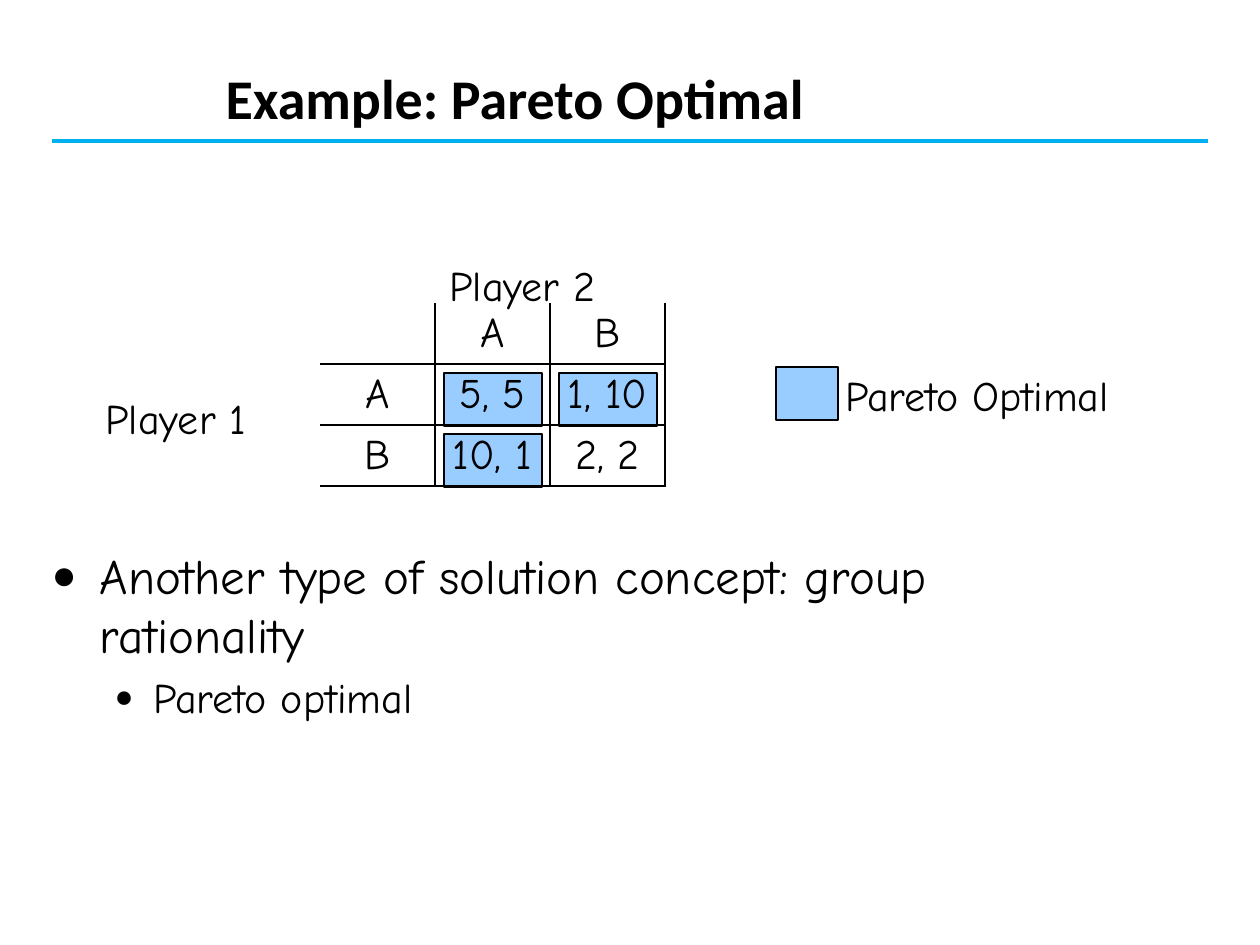
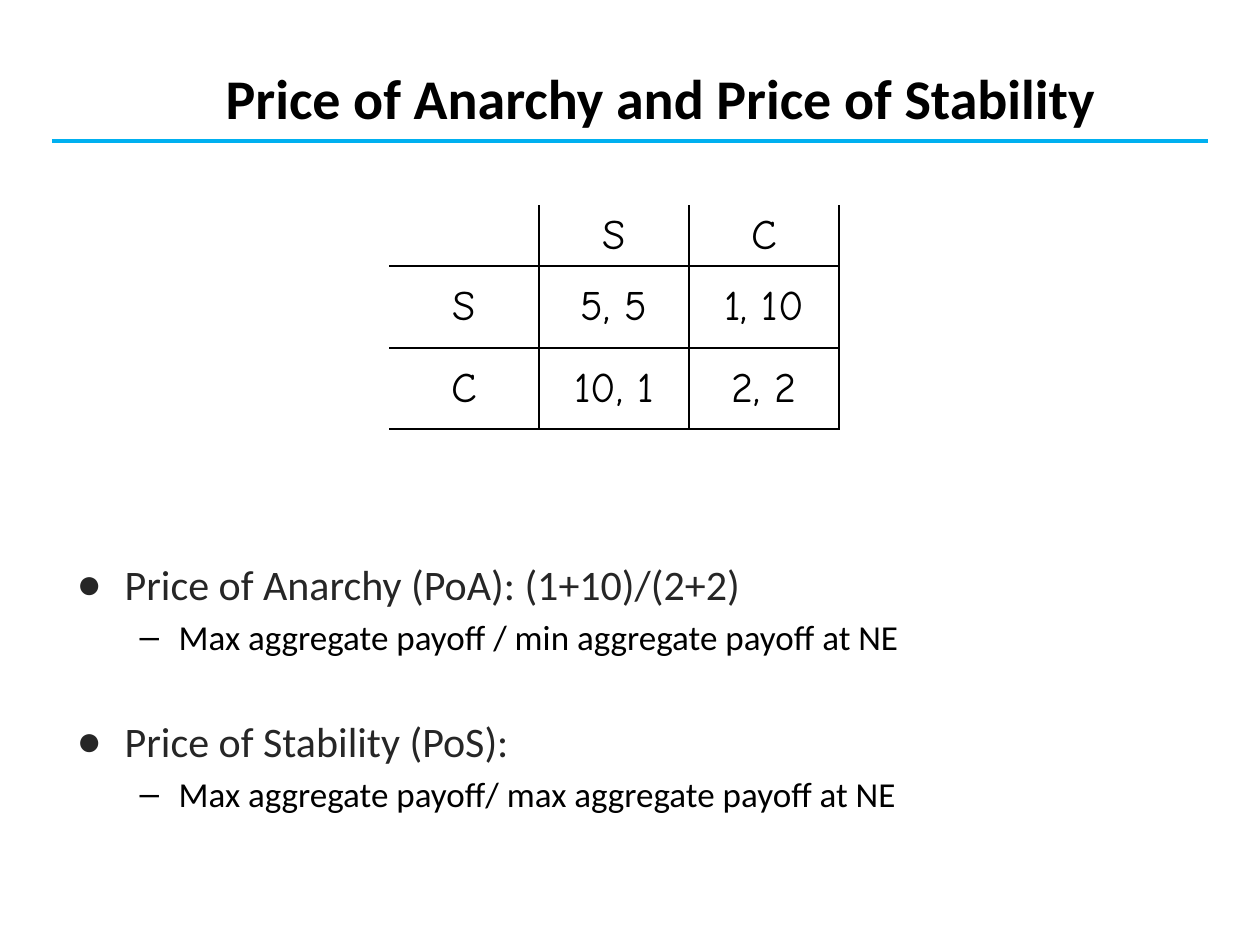
"""Build two slides on Pareto optimality and the prices of anarchy and stability."""
from dataclasses import dataclass

from lxml.etree import SubElement
from pptx import Presentation
from pptx.dml.color import RGBColor
from pptx.enum.shapes import MSO_CONNECTOR as Connector, MSO_SHAPE as Shape
from pptx.enum.text import MSO_ANCHOR as Anchor, MSO_AUTO_SIZE as AutoSize, PP_ALIGN as Align
from pptx.oxml import parse_xml
from pptx.oxml.ns import nsdecls, qn
from pptx.util import Emu, Pt


@dataclass(frozen=True)
class Theme:
    """Colours, fonts and type sizes."""
    black: str = "000000"
    grey: str = "262626"
    rule: str = "00B0F0"
    highlight: str = "99CCFF"
    plain: str = "Calibri"
    comic: str = "Comic Neue"
    title: int = 32
    large: int = 28
    medium: int = 24
    small: int = 20


THEME = Theme()
PX_PER_INCH = 126
SLIDE_SIZE = (1260, 945)
TITLE_BOX = (213, 55, 983, 74)
RULE_ENDS = (52, 141, 1208, 141)
HIGHLIGHT_SIZE = (98, 53)
HIGHLIGHT_INSET = 9
INDENTS = ((48, -48), (102, -39))

PARETO = {
    "title": "Example: Pareto Optimal",
    "body_box": (39, 539, 1115, 205),
    "bullets": [
        (0, "●", 85, 0, "Another type of solution concept: group rationality",
         dict(font=THEME.comic, size=THEME.large)),
        (1, "●", 75, 5, "Pareto optimal", dict(font=THEME.comic)),
    ],
    "payoffs": [["", "A", "B"], ["A", "5, 5", "1, 10"], ["B", "10, 1", "2, 2"]],
    "table_corner": (320, 303),
    "column_width": 115,
    "row_heights": (61, 61, 61),
    "optimal_cells": [(1, 1), (1, 2), (2, 1)],
    "labels": [
        ("Player 1", (93, 386, 258, 63)),
        ("Player 2", (437, 253, 185, 63)),
        ("Pareto Optimal", (833, 363, 319, 63)),
    ],
    "legend_box": (776, 367, 62, 53),
}
PRICES = {
    "title": "Price of Anarchy and Price of Stability",
    "body_box": (64, 552, 1128, 333),
    "bullets": [
        (0, "●", 100, 0, "Price of Anarchy (PoA): (1+10)/(2+2)", dict(color=THEME.grey)),
        (1, "–", 100, 4, "Max aggregate payoff / min aggregate payoff at NE",
         dict(size=THEME.small)),
        (0, "●", 100, 33, "Price of Stability (PoS):", dict(color=THEME.grey)),
        (1, "–", 100, 4, "Max aggregate payoff/ max aggregate payoff at NE",
         dict(size=THEME.small)),
    ],
    "payoffs": [["", "S", "C"], ["S", "5, 5", "1, 10"], ["C", "10, 1", "2, 2"]],
    "table_corner": (389, 205),
    "column_width": 150,
    "row_heights": (60, 82, 81),
}


def px(length):
    """Turn pixels into EMU."""
    return Emu(round(length * 914400 / PX_PER_INCH))


def place(shape, box):
    """Move and size a shape."""
    shape.left, shape.top, shape.width, shape.height = map(px, box)


def write(paragraph, text, font=THEME.plain, size=THEME.medium, color=THEME.black,
          bold=False, align=Align.LEFT, before=0):
    """Write one formatted run into a paragraph."""
    paragraph.alignment = align
    paragraph.space_before = Pt(before)
    run = paragraph.add_run()
    run.text = text
    run.font.name, run.font.size, run.font.bold = font, Pt(size), bold
    run.font.color.rgb = RGBColor.from_string(color)


def prepare_layout(presentation):
    """Set the shared title place and rule on the content layout."""
    layout = presentation.slide_layouts[1]
    place(layout.placeholders[0], TITLE_BOX)
    return layout


def add_rule(slide, layout):
    """Draw the title rule and hand it to the layout."""
    rule = slide.shapes.add_connector(Connector.STRAIGHT, *map(px, RULE_ENDS))
    rule.line.color.rgb = RGBColor.from_string(THEME.rule)
    rule.line.width = Pt(2.25)
    SubElement(rule._element.spPr, qn("a:effectLst"))
    layout.shapes._spTree.append(rule._element)


def fill_title(slide, text):
    """Write the slide title."""
    frame = slide.shapes.title.text_frame
    frame.auto_size, frame.vertical_anchor = AutoSize.NONE, Anchor.TOP
    frame.margin_top = px(9)
    write(frame.paragraphs[0], text, size=THEME.title, bold=True)


def fill_body(slide, content):
    """Write the bulleted list."""
    body = slide.placeholders[1]
    place(body, content["body_box"])
    frame = body.text_frame
    frame.auto_size = AutoSize.NONE
    for index, (level, mark, percent, before, text, style) in enumerate(content["bullets"]):
        paragraph = frame.add_paragraph() if index else frame.paragraphs[0]
        paragraph.level = level
        write(paragraph, text, before=before, **style)
        properties = paragraph._p.get_or_add_pPr()
        margin, indent = INDENTS[level]
        properties.set("marL", str(px(margin)))
        properties.set("indent", str(px(indent)))
        SubElement(properties, qn("a:buSzPct")).set("val", str(percent * 1000))
        SubElement(properties, qn("a:buChar")).set("char", mark)


def set_borders(cell, row, column):
    """Rule all sides of a cell except the outer top and left."""
    sides = (("lnL", column > 0), ("lnR", True), ("lnT", row > 0), ("lnB", True))
    for index, (side, shown) in enumerate(sides):
        paint = f'<a:solidFill><a:srgbClr val="{THEME.black}"/></a:solidFill>' if shown else "<a:noFill/>"
        border = parse_xml(f'<a:{side} {nsdecls("a")} w="{Pt(1)}">{paint}</a:{side}>')
        cell._tc.get_or_add_tcPr().insert(index, border)


def add_payoffs(slide, content):
    """Add the payoff table."""
    rows, heights, width = content["payoffs"], content["row_heights"], content["column_width"]
    size = (width * len(rows[0]), sum(heights))
    table = slide.shapes.add_table(len(rows), len(rows[0]),
                                   *map(px, content["table_corner"] + size)).table
    table.first_row = table.horz_banding = False
    for column in table.columns:
        column.width = px(width)
    for row, texts in enumerate(rows):
        table.rows[row].height = px(heights[row])
        for column, text in enumerate(texts):
            cell = table.cell(row, column)
            cell.fill.background()
            cell.vertical_anchor = Anchor.MIDDLE
            set_borders(cell, row, column)
            if text:
                write(cell.text_frame.paragraphs[0], text, font=THEME.comic, align=Align.CENTER)


def add_highlight(slide, box):
    """Add a box in the Pareto optimal colour."""
    shape = slide.shapes.add_shape(Shape.RECTANGLE, *map(px, box))
    shape.shadow.inherit = False
    shape.fill.solid()
    shape.fill.fore_color.rgb = RGBColor.from_string(THEME.highlight)
    shape.line.color.rgb = RGBColor.from_string(THEME.black)
    shape.line.width = Pt(0.75)


def add_optimal_cells(slide, content):
    """Mark the Pareto optimal cells behind the table."""
    left, top = content["table_corner"]
    for row, column in content["optimal_cells"]:
        corner = (left + column * content["column_width"] + HIGHLIGHT_INSET,
                  top + sum(content["row_heights"][:row]) + HIGHLIGHT_INSET)
        add_highlight(slide, corner + HIGHLIGHT_SIZE)


def add_label(slide, text, box):
    """Add a free text label."""
    frame = slide.shapes.add_textbox(*map(px, box)).text_frame
    frame.word_wrap = True
    write(frame.paragraphs[0], text, font=THEME.comic)


def add_slide(presentation, layout, content):
    """Add a slide with its title, list and payoff table."""
    slide = presentation.slides.add_slide(layout)
    fill_title(slide, content["title"])
    fill_body(slide, content)
    if "optimal_cells" in content:
        add_optimal_cells(slide, content)
    add_payoffs(slide, content)
    return slide


def main():
    """Build and save the presentation."""
    presentation = Presentation()
    presentation.slide_width, presentation.slide_height = map(px, SLIDE_SIZE)
    layout = prepare_layout(presentation)
    pareto_slide = add_slide(presentation, layout, PARETO)
    add_rule(pareto_slide, layout)
    for text, box in PARETO["labels"]:
        add_label(pareto_slide, text, box)
    add_highlight(pareto_slide, PARETO["legend_box"])
    add_slide(presentation, layout, PRICES)
    presentation.save("out.pptx")


if __name__ == "__main__":
    main()
